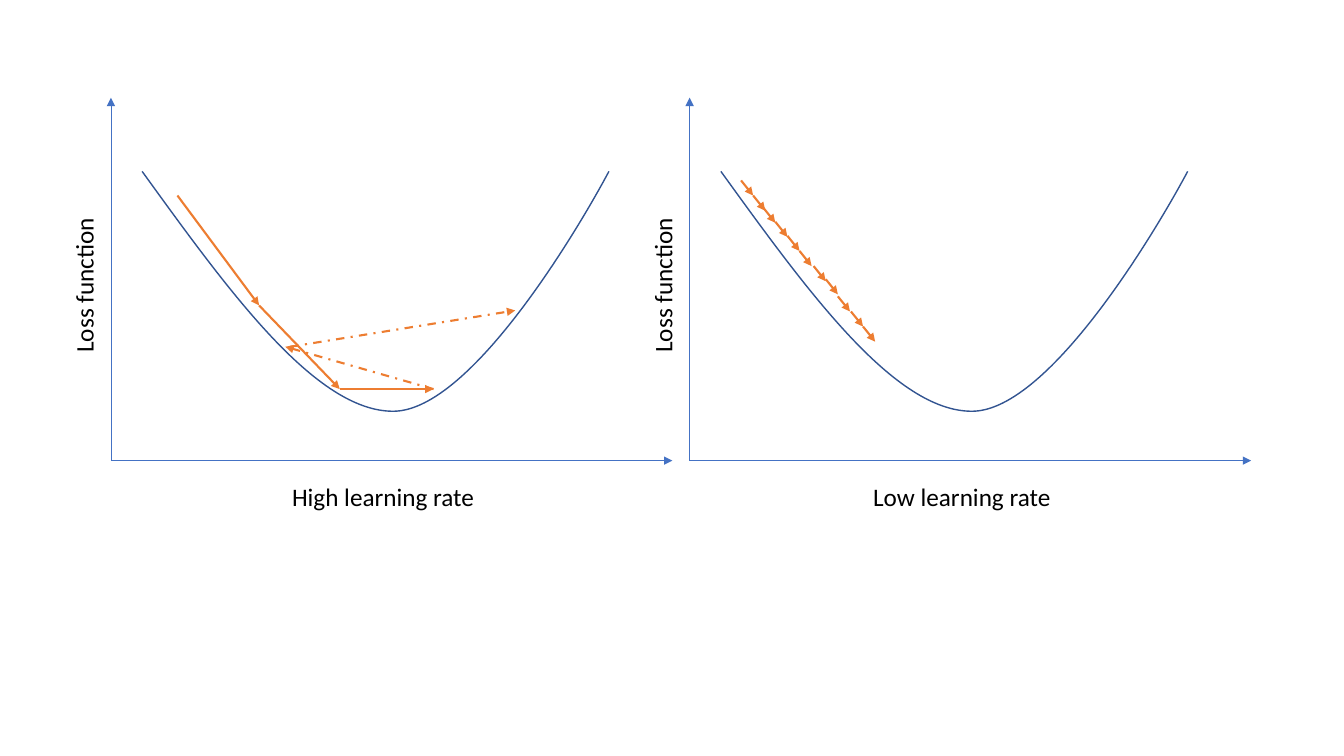
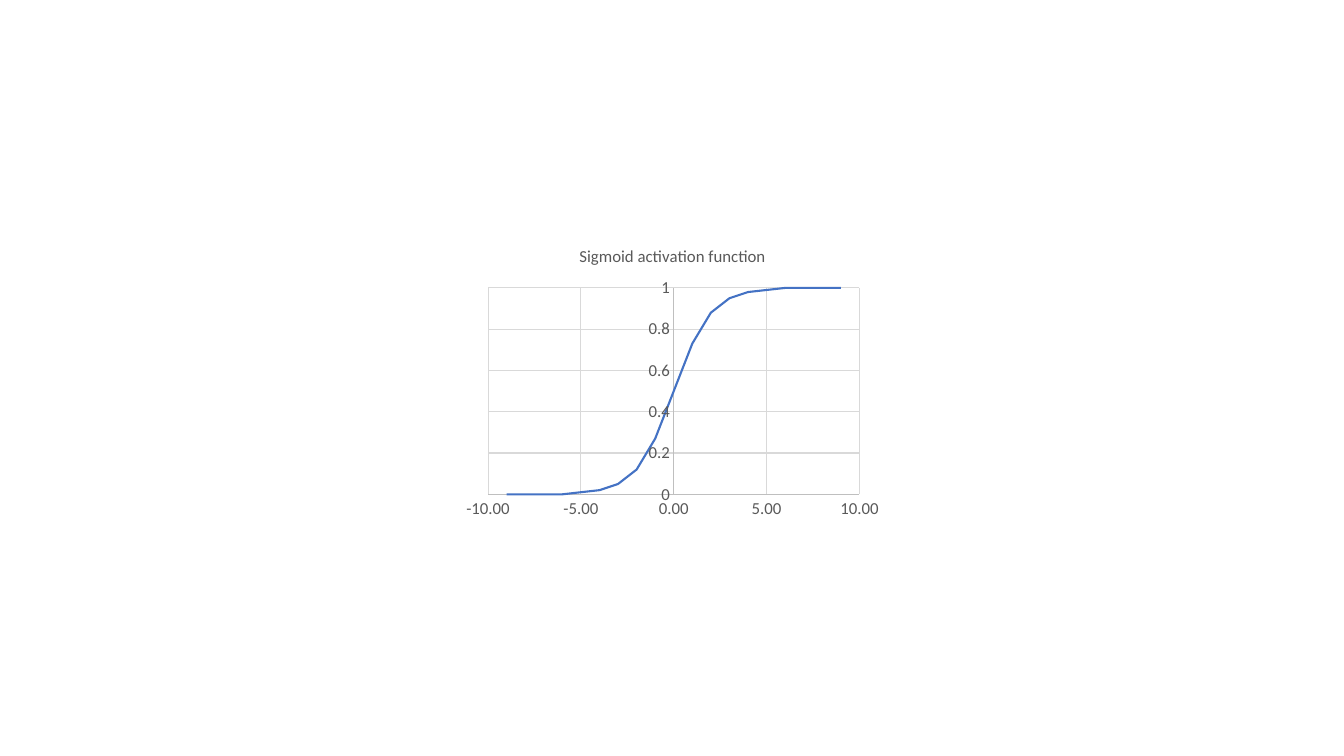
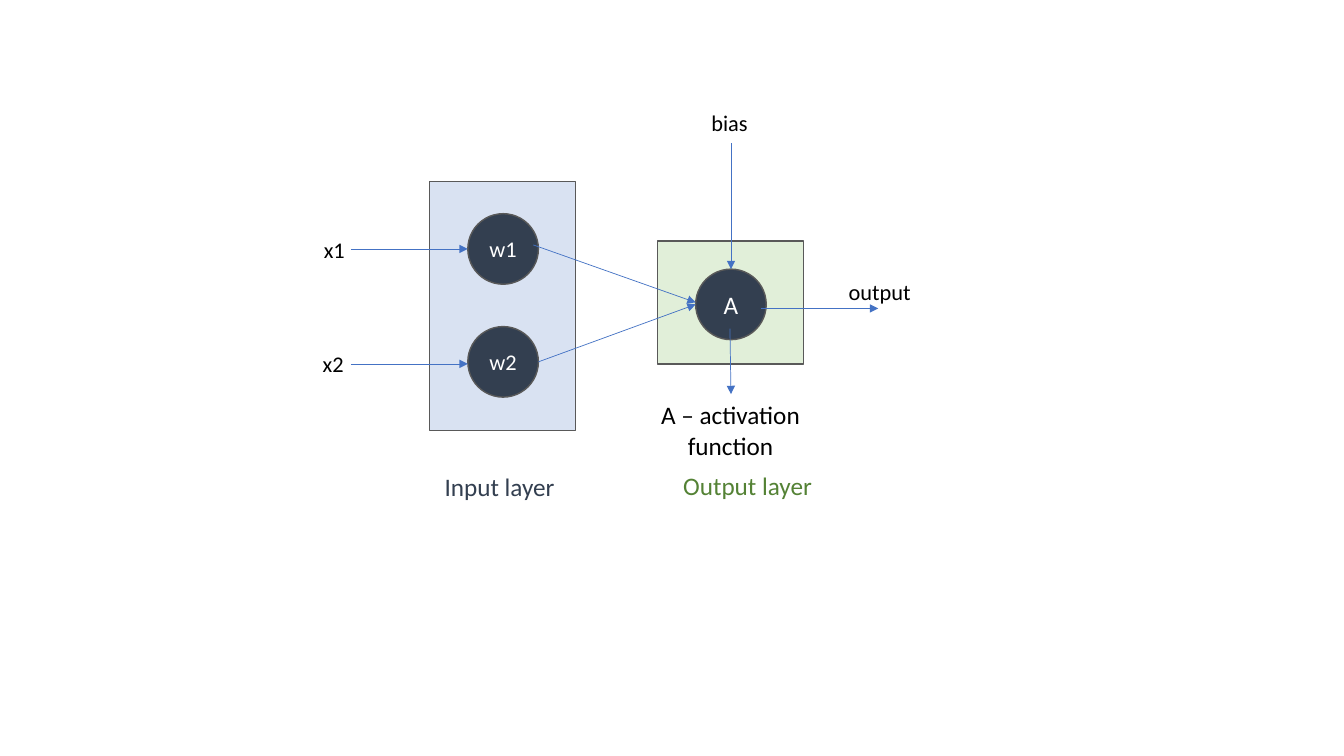
import math
from dataclasses import dataclass
from typing import Optional

import pptx
import pptx.chart.data
import pptx.dml.color
import pptx.enum.chart
import pptx.enum.dml
import pptx.enum.shapes
import pptx.enum.text
import pptx.oxml.ns
import pptx.util
from pptx.util import Inches

COLORS = {
    "black": "000000",
    "white": "FFFFFF",
    "axis": "4472C4",
    "curve": "325491",
    "step": "ED7D31",
    "outline": "595959",
    "neuron": "333F50",
    "input": "B4C7E7",
    "output": "C5E0B4",
    "output_label": "548235",
    "chart_axis": "BFBFBF",
    "grid": "D9D9D9",
}
FONT = "Calibri"
PANEL_SHIFT = 5.74
NEURON_SIZE = 0.7
Point = tuple[float, float]


@dataclass(frozen=True)
class Label:
    text: str
    left: float
    top: float
    width: float
    height: float
    size: int = 18
    color: str = "black"
    rotation: int = 0
    anchor: pptx.enum.text.MSO_ANCHOR = pptx.enum.text.MSO_ANCHOR.MIDDLE


@dataclass(frozen=True)
class Arrow:
    start: Point
    end: Point
    color: str = "axis"
    width: float = 0.5
    dash: Optional[pptx.enum.dml.MSO_LINE] = None


@dataclass(frozen=True)
class Layer:
    color: str
    left: float
    top: float
    width: float
    height: float


@dataclass(frozen=True)
class Neuron:
    text: str
    left: float
    top: float
    size: int = 16


def rgb(name: str) -> pptx.dml.color.RGBColor:
    return pptx.dml.color.RGBColor.from_string(COLORS[name])


def style_line(line, color: str, width: float) -> None:
    line.color.rgb = rgb(color)
    line.width = pptx.util.Pt(width)


def style_font(font, size: int, color: str) -> None:
    font.name = FONT
    font.size = pptx.util.Pt(size)
    font.color.rgb = rgb(color)


def add_xml(parent, tag: str, **attributes: str) -> None:
    child = pptx.oxml.ns.qn(tag)
    parent.append(parent.makeelement(child, attributes))


def draw_label(slide, label: Label) -> None:
    box = slide.shapes.add_textbox(
        Inches(label.left), Inches(label.top), Inches(label.width), Inches(label.height)
    )
    box.rotation = label.rotation
    frame = box.text_frame
    frame.word_wrap = True
    frame.auto_size = pptx.enum.text.MSO_AUTO_SIZE.SHAPE_TO_FIT_TEXT
    frame.vertical_anchor = label.anchor
    paragraph = frame.paragraphs[0]
    paragraph.text = label.text
    paragraph.alignment = pptx.enum.text.PP_ALIGN.CENTER
    style_font(paragraph.font, label.size, label.color)


def draw_arrow(slide, arrow: Arrow) -> None:
    connector = slide.shapes.add_connector(
        pptx.enum.shapes.MSO_CONNECTOR.STRAIGHT,
        *(Inches(value) for value in arrow.start + arrow.end),
    )
    style_line(connector.line, arrow.color, arrow.width)
    if arrow.dash is not None:
        connector.line.dash_style = arrow.dash
    properties = connector.element.spPr
    add_xml(properties.find(pptx.oxml.ns.qn("a:ln")), "a:tailEnd", type="triangle")
    add_xml(properties, "a:effectLst")


def smooth_outline(freeform) -> None:
    """Turn every three straight segments into one cubic curve."""
    segments = list(freeform.element.spPr.iter(pptx.oxml.ns.qn("a:lnTo")))
    for first in range(0, len(segments), 3):
        triple = segments[first : first + 3]
        add_xml(triple[0].getparent(), "a:cubicBezTo")
        cubic = triple[0].getparent()[-1]
        for segment in triple:
            cubic.append(segment[0])
            segment.getparent().remove(segment)


def draw_loss_panel(slide, caption: str, shift: float) -> None:
    """Draw the loss curve with its axes and labels, moved right by shift."""
    controls = [
        (2.27, 2.89), (3.13, 4.08), (3.9, 4.08),
        (4.68, 4.08), (5.77, 2.21), (6.04, 1.7),
    ]
    builder = slide.shapes.build_freeform(Inches(1.41 + shift), Inches(1.7))
    builder.add_line_segments(
        [(Inches(x + shift), Inches(y)) for x, y in controls], close=False
    )
    curve = builder.convert_to_shape()
    smooth_outline(curve)
    curve.shadow.inherit = False
    curve.fill.background()
    style_line(curve.line, "curve", 1)

    origin = (1.1 + shift, 4.57)
    for tip in ((origin[0], 0.97), (6.67 + shift, origin[1])):
        draw_arrow(slide, Arrow(origin, tip))
    top = pptx.enum.text.MSO_ANCHOR.TOP
    draw_label(slide, Label(caption, 2.08 + shift, 4.73, 3.44, 0.4, anchor=top))
    draw_label(
        slide,
        Label("Loss function", -0.89 + shift, 2.63, 3.44, 0.4, rotation=270, anchor=top),
    )


def build_learning_rates(slide) -> None:
    draw_loss_panel(slide, "High learning rate", 0)
    descent = [(1.76, 1.94), (2.57, 3.03), (3.37, 3.86), (4.3, 3.86)]
    for start, end in zip(descent, descent[1:]):
        draw_arrow(slide, Arrow(start, end, "step", 1.5))
    overshoots = [((4.3, 3.86), (2.83, 3.44)), ((2.88, 3.44), (5.11, 3.08))]
    for start, end in overshoots:
        draw_arrow(
            slide, Arrow(start, end, "step", 1.5, pptx.enum.dml.MSO_LINE.DASH_DOT)
        )

    draw_loss_panel(slide, "Low learning rate", PANEL_SHIFT)
    small_step_starts = [
        (7.35, 1.79), (7.47, 1.94), (7.57, 2.06), (7.69, 2.2), (7.81, 2.34), (7.93, 2.49),
        (8.07, 2.64), (8.19, 2.77), (8.31, 2.94), (8.44, 3.09), (8.56, 3.24),
    ]
    for x, y in small_step_starts:
        draw_arrow(slide, Arrow((x, y), (x + 0.12, y + 0.15), "step", 1.5))


def style_axis(axis, number_format: str) -> None:
    axis.has_major_gridlines = True
    style_line(axis.major_gridlines.format.line, "grid", 0.75)
    style_line(axis.format.line, "chart_axis", 0.75)
    axis.major_tick_mark = pptx.enum.chart.XL_TICK_MARK.NONE
    axis.minor_tick_mark = pptx.enum.chart.XL_TICK_MARK.NONE
    axis.tick_labels.number_format = number_format
    axis.tick_labels.number_format_is_linked = False
    style_font(axis.tick_labels.font, 12, "outline")


def build_sigmoid(slide) -> None:
    data = pptx.chart.data.XyChartData()
    sigmoid = data.add_series("Series 1")
    for x in range(9, -10, -1):
        sigmoid.add_data_point(x, round(1 / (1 + math.exp(-x)), 2))
    chart = slide.shapes.add_chart(
        pptx.enum.chart.XL_CHART_TYPE.XY_SCATTER_LINES_NO_MARKERS,
        Inches(4.54), Inches(2.29), Inches(4.26), Inches(2.91), data,
    ).chart
    style_font(chart.font, 10, "black")
    chart.has_legend = False
    chart.has_title = True
    heading = chart.chart_title.text_frame.paragraphs[0]
    heading.text = "Sigmoid activation function"
    style_font(heading.font, 12, "outline")
    heading.font.bold = False
    chart.chart_title.include_in_layout = False

    style_axis(chart.category_axis, "0.00")
    style_axis(chart.value_axis, "General")
    chart.value_axis.maximum_scale = 1
    chart.plots[0].vary_by_categories = False
    line = chart.plots[0].series[0]
    line.smooth = False
    style_line(line.format.line, "axis", 1.5)


def draw_layer(slide, layer: Layer) -> None:
    panel = slide.shapes.add_shape(
        pptx.enum.shapes.MSO_SHAPE.RECTANGLE,
        Inches(layer.left), Inches(layer.top), Inches(layer.width), Inches(layer.height),
    )
    panel.shadow.inherit = False
    panel.fill.solid()
    panel.fill.fore_color.rgb = rgb(layer.color)
    fill_color = panel.element.spPr.find(
        f'{pptx.oxml.ns.qn("a:solidFill")}/{pptx.oxml.ns.qn("a:srgbClr")}'
    )
    add_xml(fill_color, "a:alpha", val="50000")
    style_line(panel.line, "outline", 1)


def draw_neuron(slide, neuron: Neuron) -> None:
    circle = slide.shapes.add_shape(
        pptx.enum.shapes.MSO_SHAPE.OVAL,
        Inches(neuron.left), Inches(neuron.top), Inches(NEURON_SIZE), Inches(NEURON_SIZE),
    )
    circle.shadow.inherit = False
    circle.fill.solid()
    circle.fill.fore_color.rgb = rgb("neuron")
    style_line(circle.line, "outline", 1)
    circle.text_frame.vertical_anchor = pptx.enum.text.MSO_ANCHOR.MIDDLE
    paragraph = circle.text_frame.paragraphs[0]
    paragraph.text = neuron.text
    paragraph.alignment = pptx.enum.text.PP_ALIGN.CENTER
    style_font(paragraph.font, neuron.size, "white")


def build_perceptron(slide) -> None:
    layers = [
        Layer("input", 4.26, 1.8, 1.45, 2.47),
        Layer("output", 6.52, 2.39, 1.45, 1.22),
    ]
    neurons = [
        Neuron("w1", 4.64, 2.12),
        Neuron("w2", 4.64, 3.24),
        Neuron("A", 6.9, 2.67, 18),
    ]
    arrows = [
        Arrow((5.29, 2.43), (6.9, 3)),
        Arrow((5.34, 3.59), (6.9, 3.02)),
        Arrow((7.25, 1.42), (7.25, 2.67)),
        Arrow((3.48, 2.47), (4.64, 2.47)),
        Arrow((3.48, 3.61), (4.64, 3.61)),
        Arrow((7.24, 3.26), (7.25, 3.91)),
        Arrow((7.55, 3.06), (8.71, 3.06)),
    ]
    labels = [
        Label("bias", 6.49, 1.03, 1.49, 0.37, 16),
        Label("x1", 2.57, 2.29, 1.49, 0.37, 16),
        Label("x2", 2.56, 3.42, 1.49, 0.37, 16),
        Label("output", 7.98, 2.71, 1.49, 0.37, 16),
        Label("A – activation function", 6.37, 3.91, 1.75, 0.71),
        Label("Input layer", 3.79, 4.63, 2.33, 0.4, color="neuron"),
        Label("Output layer", 6.25, 4.62, 2.33, 0.4, color="output_label"),
    ]
    for layer in layers:
        draw_layer(slide, layer)
    for neuron in neurons:
        draw_neuron(slide, neuron)
    for arrow in arrows:
        draw_arrow(slide, arrow)
    for label in labels:
        draw_label(slide, label)


def main() -> None:
    deck = pptx.Presentation()
    deck.slide_width, deck.slide_height = Inches(13.33), Inches(7.5)
    blank = deck.slide_layouts[6]
    for build in (build_learning_rates, build_sigmoid, build_perceptron):
        build(deck.slides.add_slide(blank))
    deck.save("out.pptx")


if __name__ == "__main__":
    main()
